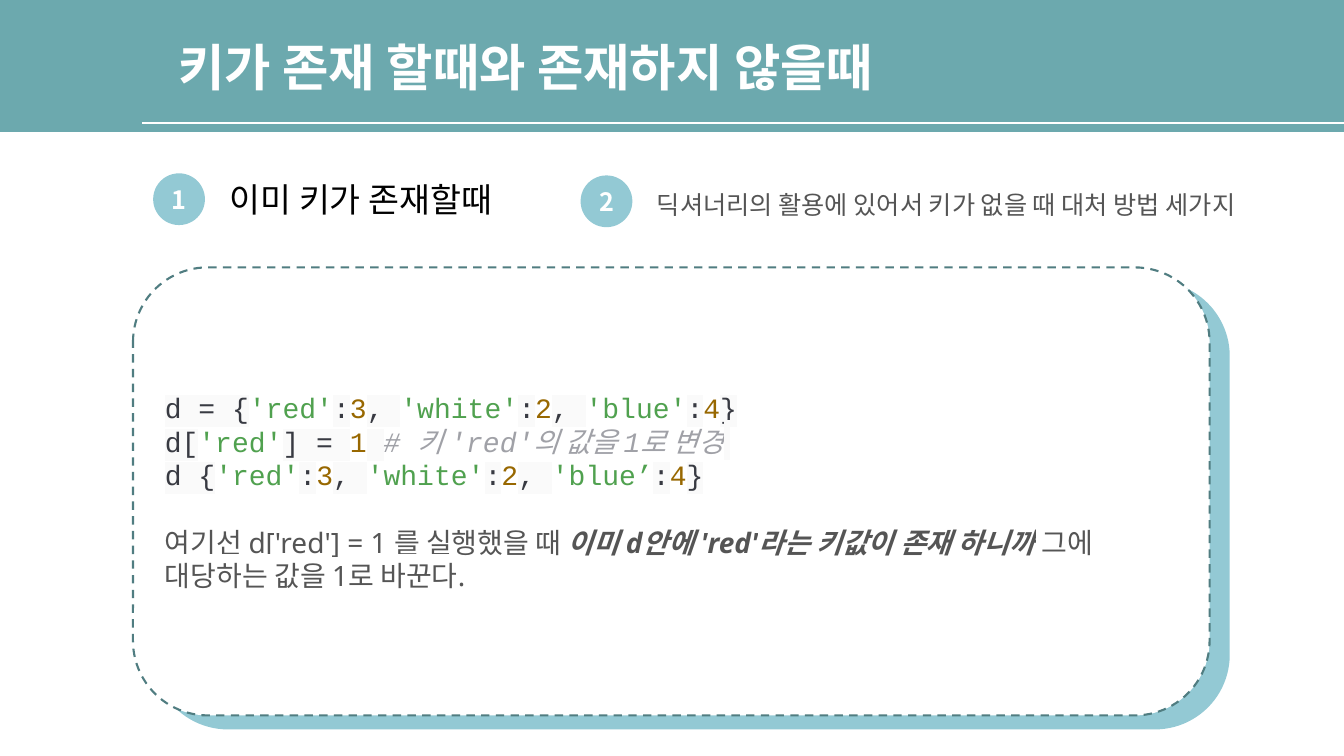
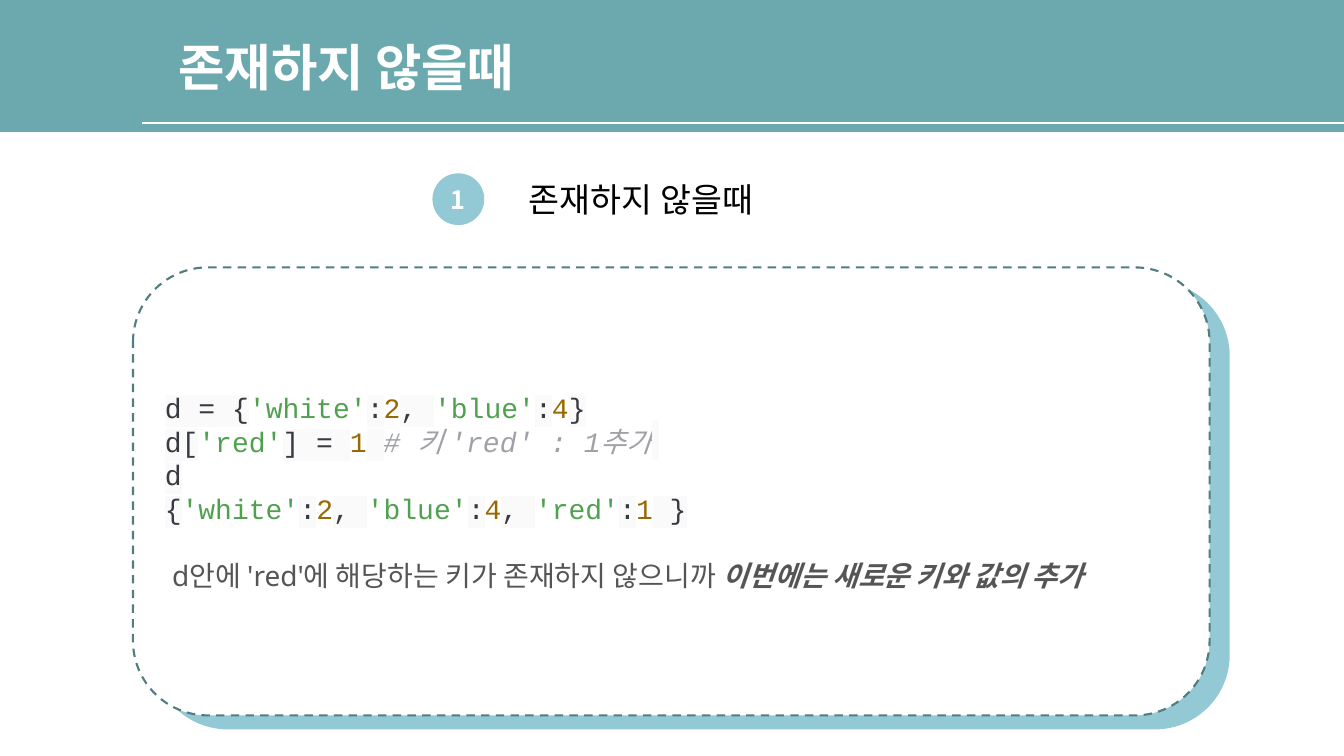
from dataclasses import dataclass
from itertools import groupby

from lxml import etree
from pptx import Presentation
from pptx.dml.color import RGBColor
from pptx.enum import dml, shapes, text
from pptx.oxml import ns
from pptx.util import Pt

# Theme
TEAL = RGBColor(0x6C, 0xA9, 0xAE)
SKY = RGBColor(0x93, 0xC9, 0xD4)
PINE = RGBColor(0x50, 0x7D, 0x81)
WHITE = RGBColor(0xFF, 0xFF, 0xFF)
BLACK = RGBColor(0x00, 0x00, 0x00)
GRAY = RGBColor(0x55, 0x55, 0x55)
CODE = RGBColor(0x38, 0x3A, 0x42)
STRING = RGBColor(0x50, 0xA1, 0x4F)
NUMBER = RGBColor(0x98, 0x68, 0x01)
REMARK = RGBColor(0xA0, 0xA1, 0xA7)
PALE = RGBColor(0xFA, 0xFA, 0xFA)

HANGUL = "Noto Sans CJK KR"
SANS = "Noto Sans"
MONO = "Courier New"

WIDE, HIGH = 960, 540
DOT = 37
STEP = 24  # line pitch inside the panel
KIND = shapes.MSO_SHAPE


@dataclass
class Box:
    x: float
    y: float
    w: float
    h: float

    def span(self) -> tuple:
        return Pt(self.x), Pt(self.y), Pt(self.w), Pt(self.h)


@dataclass
class Head:
    """A numbered badge and the label beside it."""
    num: str
    dot_x: float
    dot_y: float
    label: str
    box: Box
    size: float = 24
    face: str = HANGUL
    color: RGBColor = BLACK


@dataclass
class Page:
    title: str
    width: float
    heads: list[Head]
    code: list[str]
    note: list[tuple[str, bool]]  # text, stressed


PANEL = Box(95, 191, 769, 320)
SHADE = Box(109.4, 201, 769, 320)

PAGES = [
    Page("키가 존재 할때와 존재하지 않을때", 556.5,
         [Head("1", 109.4, 123.8, "이미 키가 존재할때", Box(157, 124.6, 247, 36)),
          Head("2", 414.7, 125.3,
               "딕셔너리의 활용에 있어서 키가 없을 때 대처 방법 세가지",
               Box(462.2, 131.8, 481, 29), 18, SANS, GRAY)],
         ["d = {'red':3, 'white':2, 'blue':4}",
          "d['red'] = 1 # 키 'red'의 값을 1로 변경",
          "d {'red':3, 'white':2, 'blue’:4}"],
         [("여기선 d['red'] = 1 를 실행했을 때", False),
          (" 이미 d안에 'red'라는 키값이 존재 하니까", True),
          (" 그에 대당하는 값을 1로 바꾼다.", False)]),
    Page("존재하지 않을때", 277,
         [Head("1", 308.9, 123.8, "존재하지 않을때", Box(370.8, 124.6, 199.5, 36))],
         ["d = {'white':2, 'blue':4}",
          "d['red'] = 1 # 키 'red' : 1추가",
          "d",
          "{'white':2, 'blue':4, 'red':1 }"],
         [(" d안에 'red'에 해당하는 키가 존재하지 않으니까", False),
          (" 이번에는 새로운 키와 값의 추가", True)]),
]


def write(para, words: str, *, size: float, color: RGBColor,
          face: str = HANGUL, bold: bool = False, slant: bool = False,
          back: RGBColor | None = None) -> None:
    """Add one formatted run."""
    run = para.add_run()
    run.text = words
    font = run.font
    font.size, font.bold, font.italic = Pt(size), bold, slant
    font.color.rgb = color
    font.name = face
    props = run.font._element
    east = etree.Element(ns.qn("a:ea"), typeface=HANGUL)
    props.find(ns.qn("a:latin")).addnext(east)
    if back is not None:
        mark = etree.Element(ns.qn("a:highlight"))
        etree.SubElement(mark, ns.qn("a:srgbClr"), val=str(back))
        props.find(ns.qn("a:solidFill")).addnext(mark)


def draw(slide, kind, box: Box, fill: RGBColor):
    """Add a flat shape without an outline."""
    shape = slide.shapes.add_shape(kind, *box.span())
    shape.shadow.inherit = False
    shape.fill.solid()
    shape.fill.fore_color.rgb = fill
    shape.line.fill.background()
    return shape


def lex(line: str) -> list[tuple[str, RGBColor]]:
    """Split a line of code into coloured parts."""
    code, mark, rest = line.partition("#")
    tones, inside = [], False
    for char in code:
        quote = char in "'’"
        if inside or quote:
            tones.append(STRING)
        else:
            tones.append(NUMBER if char.isdigit() else CODE)
        inside ^= quote
    pairs = groupby(zip(code, tones), key=lambda pair: pair[1])
    parts = [("".join(char for char, _ in group), tone) for tone, group in pairs]
    return parts + [(mark + rest, REMARK), (" ", CODE)] if mark else parts


def add_band(slide, layout) -> None:
    """Build the header band and rule, and hand them to the layout."""
    band = draw(slide, KIND.RECTANGLE, Box(0, 0, WIDE, 94.3), TEAL)
    rule = slide.shapes.add_connector(
        shapes.MSO_CONNECTOR.STRAIGHT, Pt(101.5), Pt(88), Pt(WIDE), Pt(88))
    rule.line.color.rgb = WHITE
    rule.line.width = Pt(1.25)
    etree.SubElement(rule._element.spPr, ns.qn("a:effectLst"))
    tree = layout.shapes.element
    for spot, part in enumerate((band, rule), start=2):
        tree.insert(spot, part._element)


def add_title(slide, words: str, width: float) -> None:
    title = slide.shapes.title
    title.left, title.top, title.width, title.height = Box(120.2, 22.3, width, 51).span()
    frame = title.text_frame
    frame.word_wrap = False
    frame.auto_size = text.MSO_AUTO_SIZE.SHAPE_TO_FIT_TEXT
    frame.vertical_anchor = text.MSO_ANCHOR.TOP
    para = frame.paragraphs[0]
    para.alignment = text.PP_ALIGN.LEFT
    write(para, words, size=36, color=WHITE, bold=True)


def add_head(slide, head: Head) -> None:
    dot = draw(slide, KIND.OVAL, Box(head.dot_x, head.dot_y, DOT, DOT), SKY)
    frame = dot.text_frame
    frame.word_wrap = False
    frame.vertical_anchor = text.MSO_ANCHOR.MIDDLE
    frame.paragraphs[0].alignment = text.PP_ALIGN.CENTER
    write(frame.paragraphs[0], head.num, size=18, color=WHITE, bold=True)

    frame = slide.shapes.add_textbox(*head.box.span()).text_frame
    frame.word_wrap = True
    frame.auto_size = text.MSO_AUTO_SIZE.SHAPE_TO_FIT_TEXT
    write(frame.paragraphs[0], head.label, size=head.size,
          color=head.color, face=head.face)


def add_panel(slide, page: Page) -> None:
    draw(slide, KIND.ROUNDED_RECTANGLE, SHADE, SKY)
    panel = draw(slide, KIND.ROUNDED_RECTANGLE, PANEL, WHITE)
    panel.line.color.rgb = PINE
    panel.line.width = Pt(1.5)
    panel.line.dash_style = dml.MSO_LINE.DASH
    frame = panel.text_frame
    frame.word_wrap = True
    frame.vertical_anchor = text.MSO_ANCHOR.MIDDLE
    paras = [frame.paragraphs[0]] + [frame.add_paragraph() for _ in page.code]
    for para in paras:
        para.alignment = text.PP_ALIGN.LEFT
        para.line_spacing = Pt(STEP)
    # Code lines
    for para, line in zip(paras, page.code):
        for words, tone in lex(line):
            write(para, words, size=20, color=tone, face=MONO,
                  slant=tone == REMARK, back=PALE if tone == CODE else None)
    # Explanation, one line below the code
    paras[-1].space_before = Pt(STEP)
    for words, stress in page.note:
        write(paras[-1], words, size=20, color=GRAY, face=SANS,
              bold=stress, slant=stress, back=WHITE)


def main() -> None:
    deck = Presentation()
    deck.slide_width, deck.slide_height = Pt(WIDE), Pt(HIGH)
    layout = deck.slide_layouts.get_by_name("Title Only")
    for index, page in enumerate(PAGES):
        slide = deck.slides.add_slide(layout)
        if index == 0:
            add_band(slide, layout)
        add_title(slide, page.title, page.width)
        add_panel(slide, page)
        for head in page.heads:
            add_head(slide, head)
    deck.save("out.pptx")


if __name__ == "__main__":
    main()
